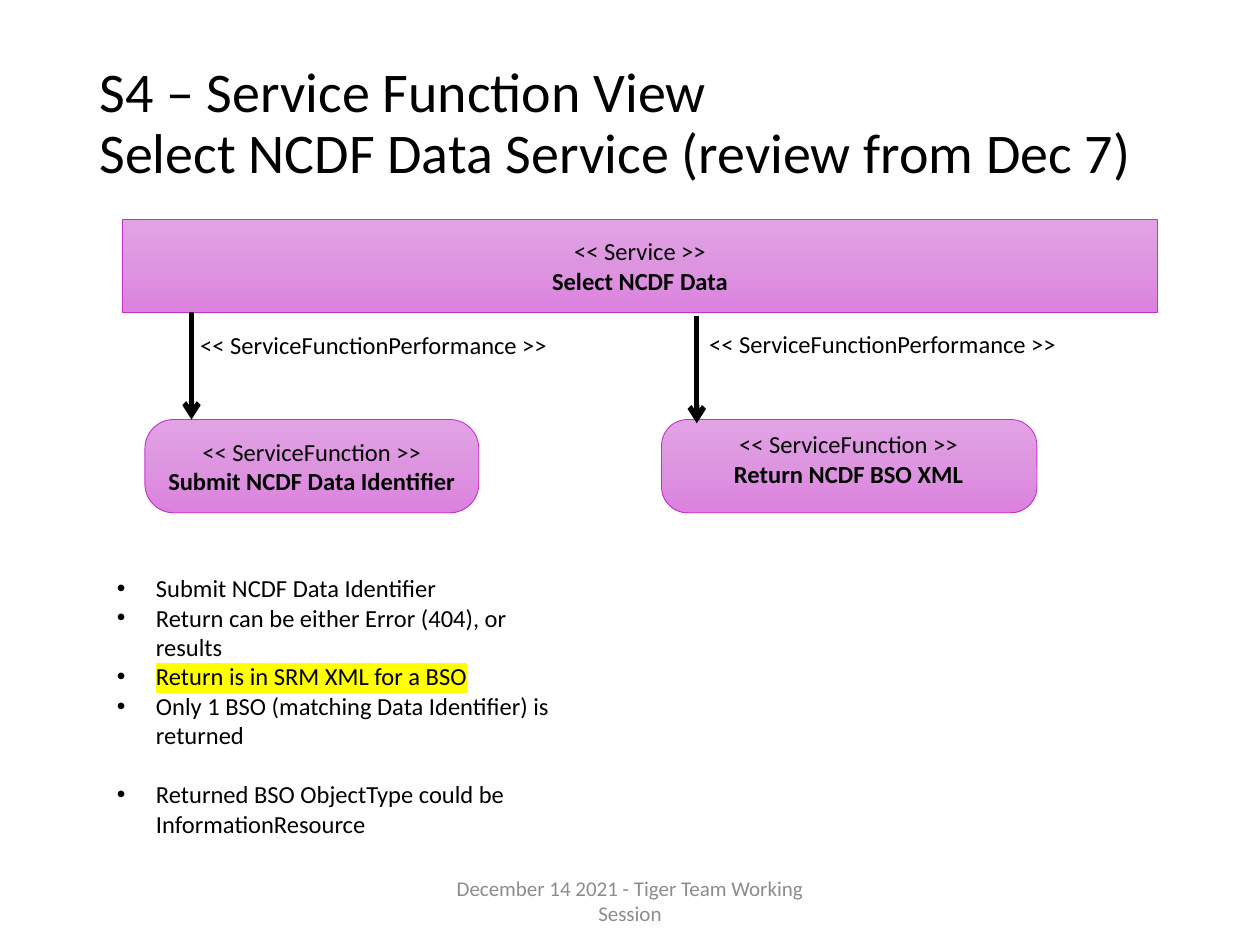
from copy import deepcopy

from lxml import etree
from pptx import Presentation
from pptx.dml.color import RGBColor
from pptx.enum.shapes import MSO_CONNECTOR, MSO_SHAPE
from pptx.enum.text import MSO_ANCHOR, MSO_AUTO_SIZE, PP_ALIGN
from pptx.oxml.ns import qn
from pptx.util import Inches, Pt

FONT = "Calibri"
BLACK = "000000"
GRADIENT = [(0, "E2A3E5"), (0.5, "DD95E0"), (1, "DC81DF")]
OUTLINE = "C830CC"


def color(value):
    return RGBColor.from_string(value)


def add_span(para, text, size=14, bold=False, tint=BLACK, highlight=None):
    span = para.add_run()
    span.text = text
    font = span.font
    font.name, font.size, font.bold = FONT, Pt(size), bold
    font.color.rgb = color(tint)
    if highlight:
        mark = etree.Element(qn("a:highlight"))
        etree.SubElement(mark, qn("a:srgbClr"), val=highlight)
        font._element.find(qn("a:solidFill")).addnext(mark)


def add_text_box(page, box, anchor=MSO_ANCHOR.TOP, wrap=True, grow=False):
    frame = page.shapes.add_textbox(*map(Inches, box)).text_frame
    frame.word_wrap = wrap
    frame.vertical_anchor = anchor
    frame.auto_size = MSO_AUTO_SIZE.SHAPE_TO_FIT_TEXT if grow else MSO_AUTO_SIZE.NONE
    return frame


def write_element(frame, stereotype, name):
    """Centred stereotype line with the bold element name below it."""
    first = frame.paragraphs[0]
    second = frame.add_paragraph()
    first.alignment = second.alignment = PP_ALIGN.CENTER
    add_span(first, f"<< {stereotype} >>")
    add_span(second, name, bold=True)


def add_panel(page, box, kind=MSO_SHAPE.RECTANGLE, corner=None):
    panel = page.shapes.add_shape(kind, *map(Inches, box))
    panel.shadow.inherit = False
    if corner is not None:
        panel.adjustments[0] = corner
    panel.fill.gradient()
    panel.fill.gradient_angle = 270
    first_stop = panel.fill._fill._gradFill.find(qn("a:gsLst"))[0]
    first_stop.addnext(deepcopy(first_stop))
    for stop, (position, tint) in zip(panel.fill.gradient_stops, GRADIENT):
        stop.position = position
        stop.color.rgb = color(tint)
    panel.line.color.rgb = color(OUTLINE)
    panel.line.width = Pt(0.5)
    panel.text_frame.word_wrap = True
    panel.text_frame.vertical_anchor = MSO_ANCHOR.MIDDLE
    return panel


def add_performance(page, x, top, label_box):
    """Downward arrow and its relationship label."""
    arrow = page.shapes.add_connector(
        MSO_CONNECTOR.STRAIGHT, Inches(x), Inches(top), Inches(x), Inches(top + 0.85))
    arrow.line.color.rgb = color(BLACK)
    arrow.line.width = Pt(3)
    etree.SubElement(arrow.line._get_or_add_ln(), qn("a:tailEnd"), type="arrow")
    etree.SubElement(arrow._element.spPr, qn("a:effectLst"))
    label = add_text_box(page, label_box, wrap=False, grow=True)
    add_span(label.paragraphs[0], "<< ServiceFunctionPerformance >>")


def add_title(page, box):
    para = add_text_box(page, box, MSO_ANCHOR.MIDDLE).paragraphs[0]
    para.line_spacing = 0.9
    add_span(para, "S4 – Service Function View", 32)
    para.add_line_break()
    add_span(para, "Select NCDF Data Service (review from Dec 7)", 32)


def add_diagram(page, box):
    left, top, width, _ = box
    height = 0.74
    function_top = top + 1.59

    # Service bar
    service = add_panel(page, (left, top, width, height))
    write_element(service.text_frame, "Service", "Select NCDF Data")

    # Service functions
    submit = add_panel(page, (left + 0.18, function_top, 2.65, height),
                       MSO_SHAPE.ROUNDED_RECTANGLE, 0.31)
    write_element(submit.text_frame, "ServiceFunction", "Submit NCDF Data Identifier")
    add_panel(page, (left + 4.28, function_top, 2.98, height),
              MSO_SHAPE.ROUNDED_RECTANGLE, 0.28)
    caption = add_text_box(page, (left + 4.75, function_top + 0.03, 2.03, 0.57),
                           wrap=False, grow=True)
    write_element(caption, "ServiceFunction", "Return NCDF BSO XML")

    # Relationships
    add_performance(page, left + 0.55, top + 0.74, (left + 0.52, top + 0.83, 2.98, 0.34))
    add_performance(page, left + 4.56, top + 0.77, (left + 4.56, top + 0.82, 2.98, 0.34))


def add_notes_list(page, box):
    # Text, highlight, space before in points
    items = [
        ("Submit NCDF Data Identifier", None, 0),
        ("Return can be either Error (404), or results", None, 0),
        ("Return is in SRM XML for a BSO", "FFFF00", 0),
        ("Only 1 BSO (matching Data Identifier) is returned", None, 0),
        ("Returned BSO ObjectType could be InformationResource", None, 17),
    ]
    frame = add_text_box(page, box, grow=True)
    for index, (text, highlight, gap) in enumerate(items):
        para = frame.add_paragraph() if index else frame.paragraphs[0]
        para.space_before = Pt(gap)
        properties = para._p.get_or_add_pPr()
        properties.set("marL", str(Inches(0.31)))
        properties.set("indent", str(-Inches(0.31)))
        etree.SubElement(properties, qn("a:buFont"), typeface="Arial")
        etree.SubElement(properties, qn("a:buChar"), char="•")
        add_span(para, text, highlight=highlight)


def add_footer(page, box):
    para = add_text_box(page, box, MSO_ANCHOR.MIDDLE).paragraphs[0]
    para.alignment = PP_ALIGN.CENTER
    add_span(para, "December 14 2021 - Tiger Team Working Session", 12, tint="8C8C8C")


def main():
    deck = Presentation()
    deck.slide_width, deck.slide_height = Inches(10), Inches(7.5)
    page = deck.slides.add_slide(deck.slide_layouts[6])
    add_title(page, (0.69, 0.4, 8.62, 1.18))
    add_diagram(page, (0.97, 1.74, 8.22, 2.33))
    add_notes_list(page, (0.83, 4.5, 3.64, 2.22))
    add_footer(page, (3.31, 6.95, 3.38, 0.4))
    deck.save("out.pptx")


if __name__ == "__main__":
    main()
